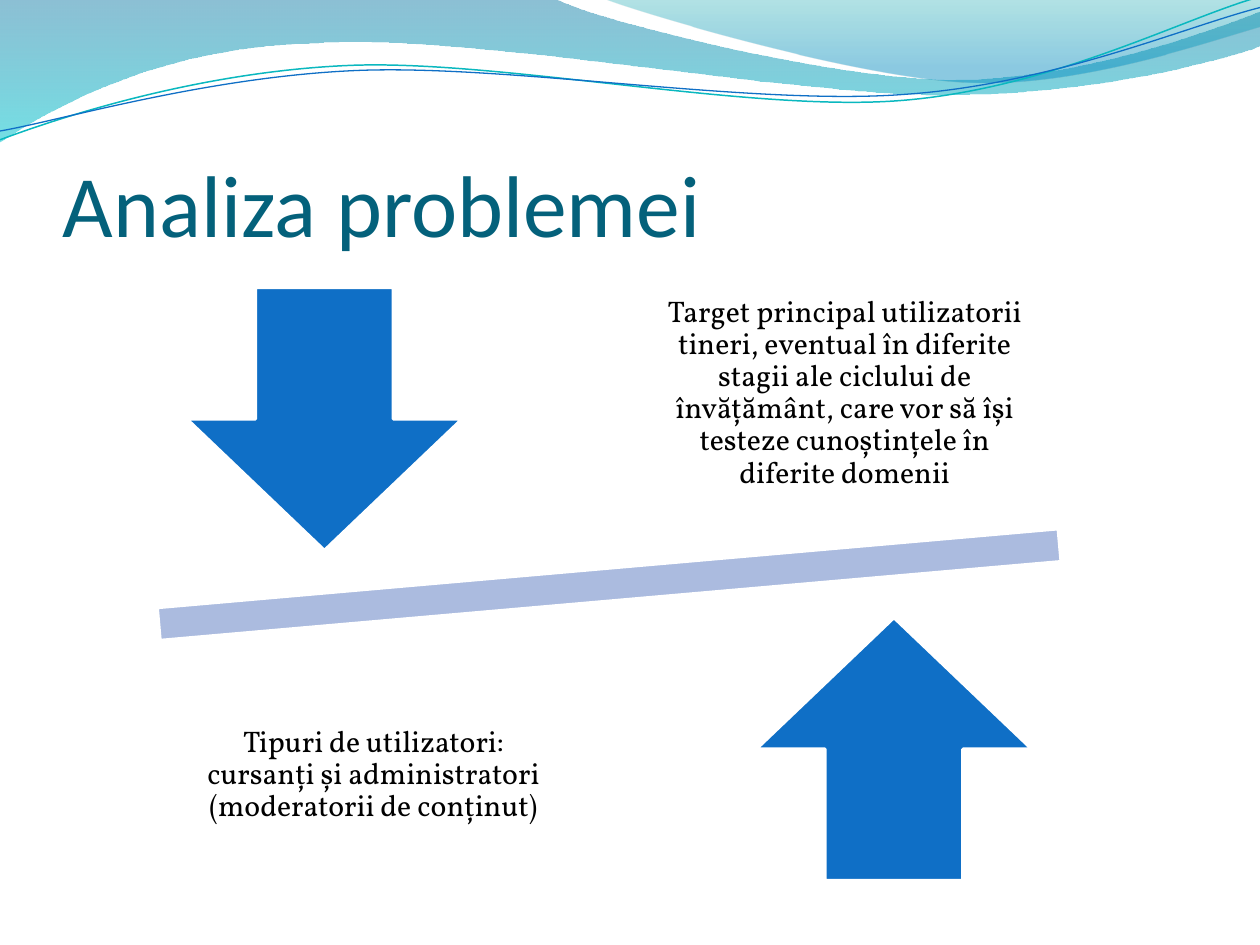
from lxml import etree
from pptx import Presentation
from pptx.dml.color import RGBColor
from pptx.enum.shapes import MSO_SHAPE as Shape
from pptx.enum.text import MSO_ANCHOR as Anchor, PP_ALIGN as Align
from pptx.oxml.ns import qn
from pptx.util import Inches, Pt


class Theme:
    """Colours, fonts and sizes of the slide."""
    blue, teal, pale, white = "0F6FC6", "0AB8BF", "ABBBDF", "FFFFFF"
    title_color, text_color = "04617B", "000000"
    title_font, text_font = "Calibri", "Vollkorn"
    title_size, text_size = 50, 17
    outline = 2
    # Gradient stops: position %, colour, opacity %
    deep_wave = [(0, "0074A1", 45), (100, "00C6CF", 55)]
    light_wave = [(0, "00A1A9", 30), (80, "008BBF", 45)]


class SlideBuilder:
    """Draws the kinds of element used on one slide."""

    def __init__(self, slide, theme):
        self.shapes, self.theme = slide.shapes, theme

    def outline(self, shape, color, width):
        """Give a shape a solid outline."""
        shape.line.color.rgb = RGBColor.from_string(color)
        shape.line.width = Pt(width)

    def freeform(self, start, steps, close):
        """Build an outline from line (2 numbers) and cubic curve (6 numbers) steps."""
        # The outline grid is a hundredth of an inch
        grid = [[round(value * 100) for value in step] for step in (start, *steps)]
        ends = [step[-2:] for step in grid]
        builder = self.shapes.build_freeform(*ends[0], scale=Inches(0.01))
        builder.add_line_segments(ends[1:], close=close)
        shape = builder.convert_to_shape()
        shape.shadow.inherit = False
        left, top = (min(values) for values in zip(*ends))
        segments = list(shape.element.iter(qn("a:lnTo")))
        for segment, step in zip(segments, grid[1:]):
            if len(step) == 6:
                curve = etree.Element(qn("a:cubicBezTo"))
                for x, y in zip(step[::2], step[1::2]):
                    etree.SubElement(curve, qn("a:pt"), x=str(x - left), y=str(y - top))
                segment.getparent().replace(segment, curve)
        return shape

    def wave(self, start, steps, stops):
        """Draw a filled wave with a translucent vertical gradient."""
        shape = self.freeform(start, steps, True)
        shape.line.fill.background()
        shape.fill.gradient()
        gradient = shape.element.spPr.find(qn("a:gradFill"))
        for child in list(gradient):
            gradient.remove(child)
        stop_list = etree.SubElement(gradient, qn("a:gsLst"))
        for position, color, opacity in stops:
            stop = etree.SubElement(stop_list, qn("a:gs"), pos=str(position * 1000))
            rgb = etree.SubElement(stop, qn("a:srgbClr"), val=color)
            etree.SubElement(rgb, qn("a:alpha"), val=str(opacity * 1000))
        etree.SubElement(gradient, qn("a:lin"), ang="5400000", scaled="0")

    def ripple(self, start, steps, color, width):
        """Draw a thin open curve."""
        shape = self.freeform(start, steps, False)
        shape.fill.background()
        self.outline(shape, color, width)

    def block(self, kind, box, color, rotation=0):
        """Draw a preset shape with a white outline."""
        shape = self.shapes.add_shape(kind, *map(Inches, box))
        shape.shadow.inherit = False
        shape.fill.solid()
        shape.fill.fore_color.rgb = RGBColor.from_string(color)
        self.outline(shape, self.theme.white, self.theme.outline)
        shape.rotation = rotation

    def text(self, words, box, insets, anchor, align, font, size, color, spacing=1.0):
        """Write one paragraph in a wrapping text box."""
        frame = self.shapes.add_textbox(*map(Inches, box)).text_frame
        frame.word_wrap = True
        frame.vertical_anchor = anchor
        (frame.margin_left, frame.margin_top,
         frame.margin_right, frame.margin_bottom) = map(Inches, insets)
        frame.text = words
        paragraph = frame.paragraphs[0]
        paragraph.alignment, paragraph.line_spacing = align, spacing
        style = paragraph.runs[0].font
        style.name, style.size = font, Pt(size)
        style.color.rgb = RGBColor.from_string(color)

    def title(self, words):
        """Write the slide title."""
        t = self.theme
        self.text(words, (0.5, 0.77, 9, 1.25), (0, 0.05, 0, 0), Anchor.BOTTOM,
                  Align.LEFT, t.title_font, t.title_size, t.title_color)

    def argument(self, words, left, top):
        """Write the text beside an arrow."""
        t = self.theme
        self.text(words, (left, top, 3.15, 2.2), (0.13,) * 4, Anchor.MIDDLE,
                  Align.CENTER, t.text_font, t.text_size, t.text_color, 0.9)


def draw_header(page):
    """Draw the waves and ripples along the top edge."""
    theme = page.theme
    page.wave((0, 0), [
        (4.4, -0.01), (4.76, 0.17, 6.64, 0.63, 7.58, 0.63),
        (8.53, 0.63, 9.58, 0.26, 10, 0.09), (10.01, 0.36),
        (9.83, 0.44, 8.7, 0.76, 7.46, 0.75), (6.22, 0.75, 3.82, 0.28, 2.57, 0.34),
        (1.29, 0.36, 0.46, 0.83, -0.01, 1.13)], theme.deep_wave)
    page.wave((4.79, -0.01), [
        (5.09, 0.11, 6.82, 0.62, 7.69, 0.65), (8.56, 0.69, 9.61, 0.32, 10, 0.21),
        (10, 0)], theme.light_wave)
    page.ripple((0, 1.11), [
        (0.48, 0.93, 1.58, 0.57, 2.77, 0.52), (3.95, 0.47, 5.93, 0.89, 7.13, 0.8),
        (8.33, 0.71, 9.38, 0.15, 9.98, -0.02)], theme.teal, 0.85)
    page.ripple((0, 1.04), [
        (0.47, 0.96, 1.64, 0.61, 2.83, 0.56), (4.03, 0.51, 5.97, 0.84, 7.17, 0.75),
        (8.36, 0.67, 9.41, 0.21, 10, 0.06)], theme.blue, 0.75)


def draw_balance(page):
    """Draw the tilted bar with its two arrows and texts."""
    theme = page.theme
    page.block(Shape.MATH_MINUS, (-0.05, 4.08, 9.77, 1.12), theme.pale, 355)
    page.block(Shape.DOWN_ARROW, (1.48, 2.28, 2.19, 2.09), theme.blue)
    page.argument("Target principal utilizatorii tineri, eventual în diferite stagii "
                  "ale ciclului de învățământ, care vor să își testeze cunoștințele "
                  "în diferite domenii", 5.13, 2.02)
    page.block(Shape.UP_ARROW, (6, 4.9, 2.19, 2.09), theme.blue)
    page.argument("Tipuri de utilizatori: cursanți și administratori "
                  "(moderatorii de conținut)", 1.39, 5.05)


def main():
    """Build and save the presentation."""
    deck = Presentation()
    deck.slide_width, deck.slide_height = Inches(10), Inches(7.5)
    page = SlideBuilder(deck.slides.add_slide(deck.slide_layouts[6]), Theme)
    draw_header(page)
    page.title("Analiza problemei")
    draw_balance(page)
    deck.save("out.pptx")


main()
